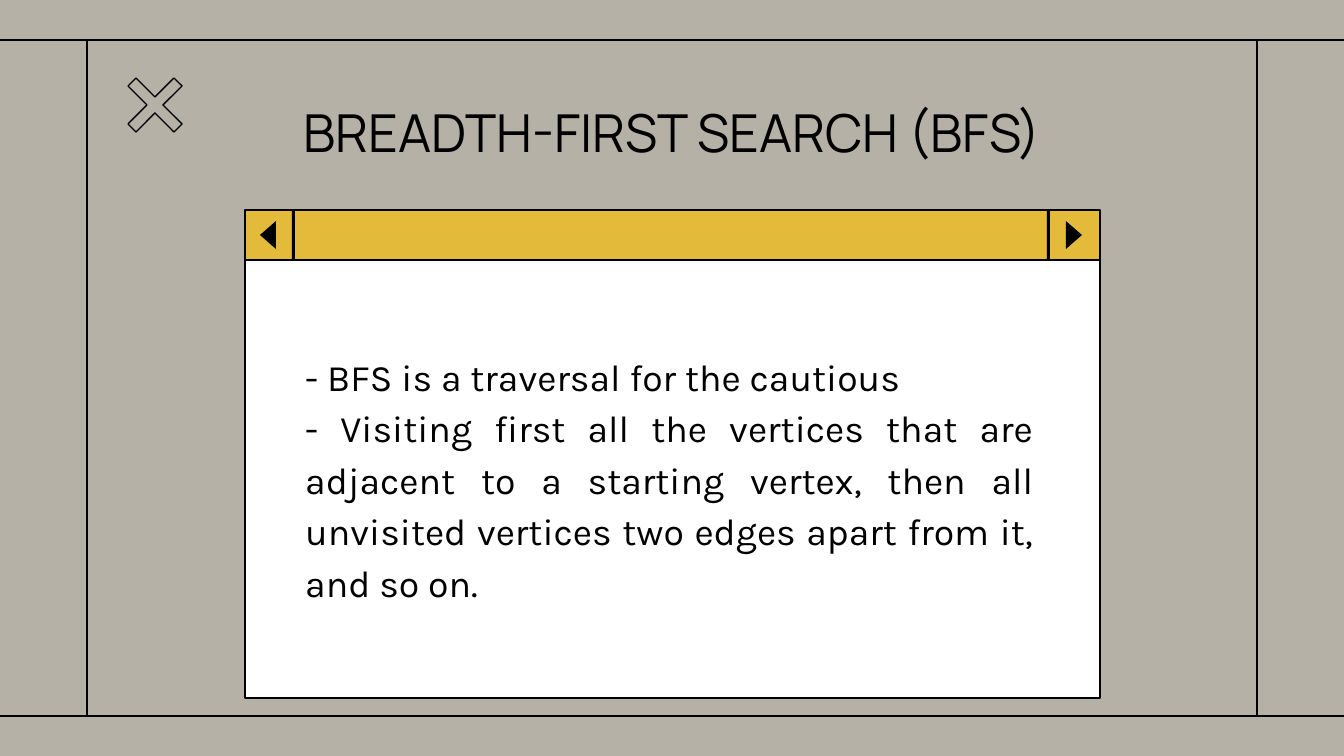
from lxml import etree
from pptx import Presentation
from pptx import util as u
from pptx.dml.color import RGBColor
from pptx.enum import shapes, text
from pptx.oxml.ns import qn

WIDTH, HEIGHT = 1344, 756
COLORS = {"back": "B5B1A7", "ink": "000000", "bar": "E4BA3A", "page": "FFFFFF"}
TITLE = "BREADTH-FIRST SEARCH (BFS)"
POINTS = [
    "- BFS is a traversal for the cautious",
    "- Visiting first all the vertices that are adjacent to a starting vertex, "
    "then all unvisited vertices two edges apart from it, and so on.",
]


def px(length):
    return u.Emu(round(length * 914400 / 134.4))


def color(name):
    return RGBColor.from_string(COLORS[name])


class SlideBuilder:
    """Holds the style and the slide being built."""

    line_width = u.Pt(0.75)

    def __init__(self, slide):
        self.slide = slide
        slide.background.fill.solid()
        slide.background.fill.fore_color.rgb = color("back")

    def line(self, x1, y1, x2, y2):
        connector = self.slide.shapes.add_connector(
            shapes.MSO_CONNECTOR.STRAIGHT, px(x1), px(y1), px(x2), px(y2))
        connector.line.color.rgb = color("ink")
        connector.line.width = self.line_width
        etree.SubElement(connector._element.spPr, qn("a:effectLst"))

    def paint(self, shape, fill, outlined):
        shape.shadow.inherit = False
        if fill:
            shape.fill.solid()
            shape.fill.fore_color.rgb = color(fill)
        else:
            shape.fill.background()
        if outlined:
            shape.line.color.rgb = color("ink")
            shape.line.width = self.line_width
        else:
            shape.line.fill.background()

    def box(self, x, y, width, height, fill, outlined=True):
        shape = self.slide.shapes.add_shape(
            shapes.MSO_SHAPE.RECTANGLE, px(x), px(y), px(width), px(height))
        self.paint(shape, fill, outlined)

    def polygon(self, points, fill=None, outlined=False):
        corners = [(px(x), px(y)) for x, y in points]
        builder = self.slide.shapes.build_freeform(*corners[0])
        builder.add_line_segments(corners[1:], close=True)
        self.paint(builder.convert_to_shape(), fill, outlined)

    def set_text(self, shape, area, lines, font, size, align, spacing=None):
        shape.left, shape.top, shape.width, shape.height = map(px, area)
        frame = shape.text_frame
        frame.word_wrap = True
        frame.auto_size = text.MSO_AUTO_SIZE.NONE
        frame.vertical_anchor = text.MSO_ANCHOR.MIDDLE
        frame.margin_left = frame.margin_right = u.Inches(0.1)
        frame.margin_top = frame.margin_bottom = u.Inches(0.1)
        for index, line in enumerate(lines):
            paragraph = frame.add_paragraph() if index else frame.paragraphs[0]
            paragraph.alignment = align
            paragraph.space_before = u.Pt(0)
            if spacing:
                paragraph.line_spacing = spacing
            run = paragraph.add_run()
            run.text = line
            run.font.name = font
            run.font.size = u.Pt(size)
            run.font.color.rgb = color("ink")

    def title(self, area, line):
        self.set_text(self.slide.shapes.title, area, [line], "Manrope", 28,
                      text.PP_ALIGN.CENTER)

    def body(self, area, lines):
        shape = self.slide.shapes.add_textbox(*map(px, area))
        self.set_text(shape, area, lines, "Karla", 20,
                      text.PP_ALIGN.JUSTIFY, 1.15)


def main():
    presentation = Presentation()
    presentation.slide_width, presentation.slide_height = px(WIDTH), px(HEIGHT)
    slide = presentation.slides.add_slide(presentation.slide_layouts[5])
    builder = SlideBuilder(slide)

    # Frame lines
    top, bottom = 40, 716
    for y in (top, bottom):
        builder.line(-4, y, WIDTH + 4, y)
    for x in (87, WIDTH - 87):
        builder.line(x, bottom, x, top)

    # Title
    builder.title((206, 89, 932, 85), TITLE)

    # Cross: one arm turned four times about its centre
    arm = [(0, 8), (19, 27), (27, 19)]
    cross = []
    for _ in range(4):
        cross += [(155 + x, 105 + y) for x, y in arm]
        arm = [(y, -x) for x, y in arm]
    builder.polygon(cross, outlined=True)

    # Window: page and title bar
    left, bar_top, bar_height, window_width = 245, 210, 50, 855
    builder.box(left, bar_top + bar_height, window_width, 438, "page")
    builder.box(left, bar_top, window_width, bar_height, "bar")

    # Bar dividers and arrows, each pointing outwards
    middle = bar_top + bar_height / 2
    for divider, base, tip in ((292, 276, 260), (1047, 1066, 1082)):
        builder.box(divider, bar_top, 3, bar_height, "ink", outlined=False)
        builder.polygon([(base, middle - 14), (tip, middle), (base, middle + 14)],
                        "ink")

    # Body text
    builder.body((292, 266, 755, 420), POINTS)

    presentation.save("out.pptx")


if __name__ == "__main__":
    main()
